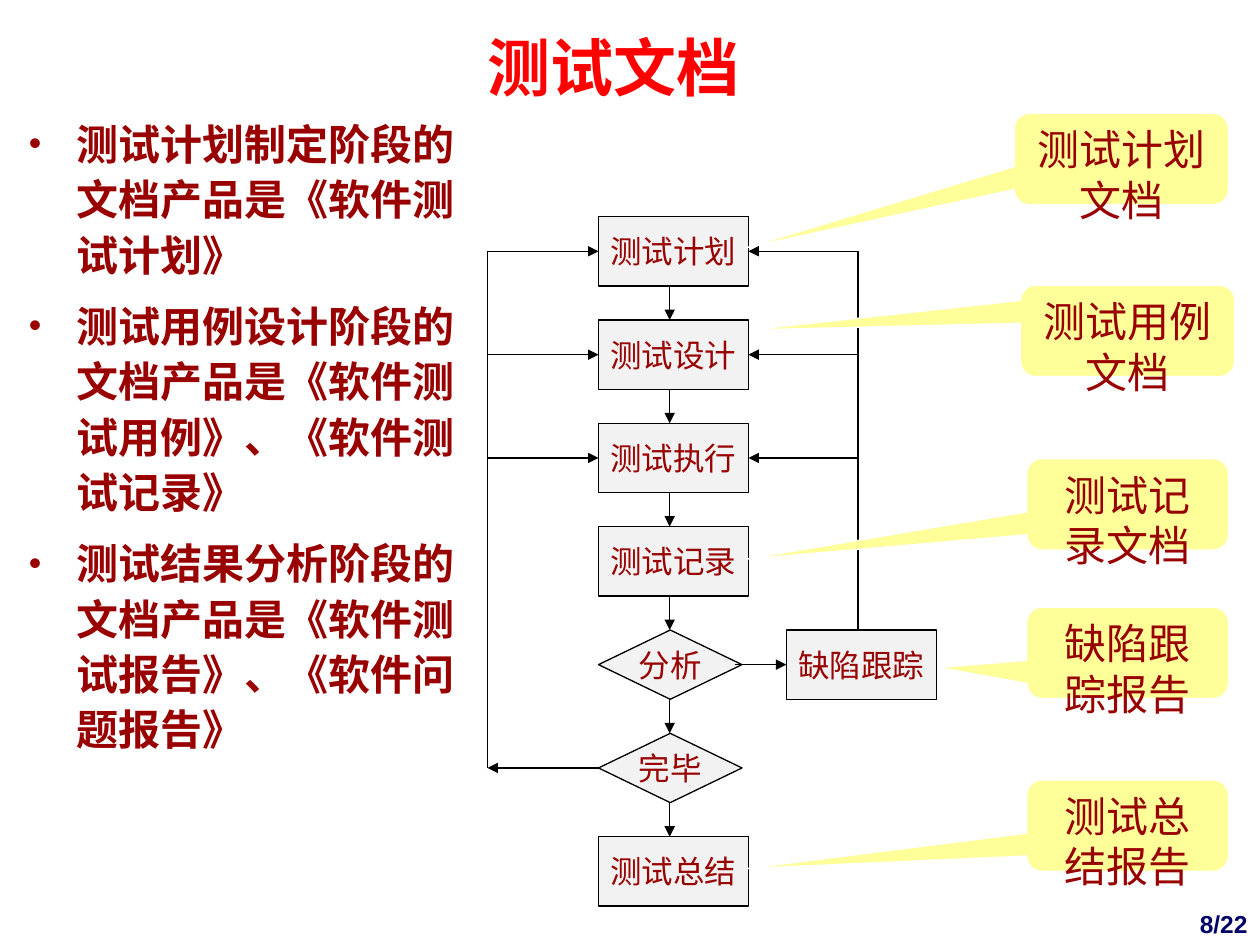
from pptx import Presentation
from pptx.dml.color import RGBColor
from pptx.enum.shapes import MSO_CONNECTOR, MSO_SHAPE
from pptx.enum.text import MSO_ANCHOR, PP_ALIGN
from pptx.oxml.ns import qn
from pptx.util import Pt
from lxml.etree import SubElement

COLORS = {"title": "FF0000", "text": "990000", "page": "000066", "node": "F2F2F2",
          "line": "000000", "callout": "FFFF99", "edge": "FFFFFF"}
CJK = "Noto Sans CJK SC"
LINE_WIDTH = Pt(0.74)


def color(key):
    return RGBColor.from_string(COLORS[key])


def format_paragraph(paragraph, size, key="text", face="Arial", bold=False,
                     align=PP_ALIGN.CENTER):
    paragraph.alignment = align
    font = paragraph.font
    font.size, font.bold, font.name = Pt(size), bold, face
    font.color.rgb = color(key)
    east_asian = SubElement(paragraph._p.pPr.find(qn("a:defRPr")), qn("a:ea"))
    east_asian.set("typeface", CJK)


def add_block(slide, preset, box, wording, size, fill, edge, anchor, wrap):
    block = slide.shapes.add_shape(preset, *map(Pt, box))
    block.shadow.inherit = False
    block.fill.solid()
    block.fill.fore_color.rgb = color(fill)
    block.line.color.rgb = color(edge)
    block.line.width = LINE_WIDTH
    frame = block.text_frame
    frame.word_wrap, frame.vertical_anchor = wrap, anchor
    frame.text = wording
    format_paragraph(frame.paragraphs[0], size)
    return block


def add_line(slide, start, end, arrow=True):
    line = slide.shapes.add_connector(MSO_CONNECTOR.STRAIGHT, *map(Pt, start + end))
    line.line.color.rgb = color("line")
    line.line.width = LINE_WIDTH
    if arrow:
        SubElement(line.line._get_or_add_ln(), qn("a:tailEnd")).set("type", "triangle")
    SubElement(line._element.spPr, qn("a:effectLst"))


def place_title(slide, box, wording):
    title = slide.shapes.title
    title.left, title.top, title.width, title.height = map(Pt, box)
    frame = title.text_frame
    frame.text = wording
    frame.vertical_anchor = MSO_ANCHOR.MIDDLE
    heading = frame.paragraphs[0]
    heading.line_spacing, heading.space_before = 1.1, Pt(13.5)
    format_paragraph(heading, 36, "title", CJK, True)


def place_points(slide, box, points):
    frame = slide.shapes.add_textbox(*map(Pt, box)).text_frame
    frame.word_wrap = True
    frame.text = "\n".join(points)
    for point in frame.paragraphs:
        point.line_spacing, point.space_before = 1.1, Pt(9)
        properties = point._p.get_or_add_pPr()
        properties.set("marL", str(Pt(27)))
        properties.set("indent", str(Pt(-27)))
        bullet_color = SubElement(properties, qn("a:buClr"))
        SubElement(bullet_color, qn("a:srgbClr")).set("val", COLORS["text"])
        SubElement(properties, qn("a:buSzPct")).set("val", "85000")
        SubElement(properties, qn("a:buFont")).set("typeface", "Arial")
        SubElement(properties, qn("a:buChar")).set("char", "•")
        format_paragraph(point, 24, face=CJK, bold=True, align=PP_ALIGN.LEFT)


def place_flow(slide, box, steps, decisions, tracking):
    left, top, width, height = box
    node_width, node_height, decision_width = 85.7, 39.6, 82
    node_left = left + 63.4
    node_right = node_left + node_width
    pitch = (height - node_height) / (len(steps) - 1)
    axis = node_left + 40.7
    tracking_left = left + width - node_width
    return_right = tracking_left + 41

    def row_top(row):
        return top + row * pitch

    def row_middle(row):
        return row_top(row) + node_height / 2

    def add_node(preset, x, row, w, wording):
        add_block(slide, preset, (x, row_top(row), w, node_height), wording, 18,
                  "node", "line", MSO_ANCHOR.MIDDLE, False)

    for row, step in enumerate(steps):
        if step in decisions:
            add_node(MSO_SHAPE.FLOWCHART_DECISION, node_left, row, decision_width, step)
        else:
            add_node(MSO_SHAPE.RECTANGLE, node_left, row, node_width, step)
        if row:
            add_line(slide, (axis, row_top(row - 1) + node_height), (axis, row_top(row)))

    analysis, finish = map(steps.index, decisions)
    add_node(MSO_SHAPE.RECTANGLE, tracking_left, analysis, node_width, tracking)
    add_line(slide, (node_left + 77.8, row_middle(analysis)),
             (tracking_left, row_middle(analysis)))
    add_line(slide, (return_right, row_top(analysis)), (return_right, row_middle(0)), False)
    add_line(slide, (node_left, row_middle(finish)), (left, row_middle(finish)))
    add_line(slide, (left, row_middle(finish)), (left, row_middle(0)), False)
    for row in range(3):
        add_line(slide, (return_right, row_middle(row)), (node_right, row_middle(row)))
        add_line(slide, (left, row_middle(row)), (node_left, row_middle(row)))


def place_callout(slide, box, wording, tip):
    callout = add_block(slide, MSO_SHAPE.ROUNDED_RECTANGULAR_CALLOUT, box, wording, 24,
                        "callout", "edge", MSO_ANCHOR.TOP, True)
    callout.adjustments[0], callout.adjustments[1] = tip


def place_page_number(slide, box, wording):
    frame = slide.shapes.add_textbox(*map(Pt, box)).text_frame
    frame.word_wrap, frame.vertical_anchor = True, MSO_ANCHOR.BOTTOM
    frame.text = wording
    format_paragraph(frame.paragraphs[0], 14, "page", bold=True, align=PP_ALIGN.RIGHT)


presentation = Presentation()
presentation.slide_width, presentation.slide_height = Pt(720), Pt(540)
slide = presentation.slides.add_slide(presentation.slide_layouts[5])

place_page_number(slide, (570, 504, 150, 36), "8/22")
place_title(slide, (44.6, 8.6, 612, 54.7), "测试文档")
place_points(slide, (9.4, 61.2, 272.9, 421.9), [
    "测试计划制定阶段的文档产品是《软件测试计划》",
    "测试用例设计阶段的文档产品是《软件测试用例》、《软件测试记录》",
    "测试结果分析阶段的文档产品是《软件测试报告》、《软件问题报告》",
])
place_flow(slide, (278.6, 123.8, 256.4, 393.9),
           ["测试计划", "测试设计", "测试执行", "测试记录", "分析", "完毕", "测试总结"],
           ["分析", "完毕"], "缺陷跟踪")
for left, top, width, wording, tip in [
    (579.6, 64.8, 122.4, "测试计划文档", (-1.75, 0.97)),
    (583.2, 163, 122.4, "测试用例文档", (-1.76, -0.01)),
    (586.8, 262.1, 115.2, "测试记录文档", (-1.89, 0.6)),
    (586.8, 347, 115.2, "缺陷跟踪报告", (-0.94, 0.16)),
    (586.8, 445.7, 115.2, "测试总结报告", (-1.89, 0.47)),
]:
    place_callout(slide, (left, top, width, 52.2), wording, tip)

presentation.save("out.pptx")
